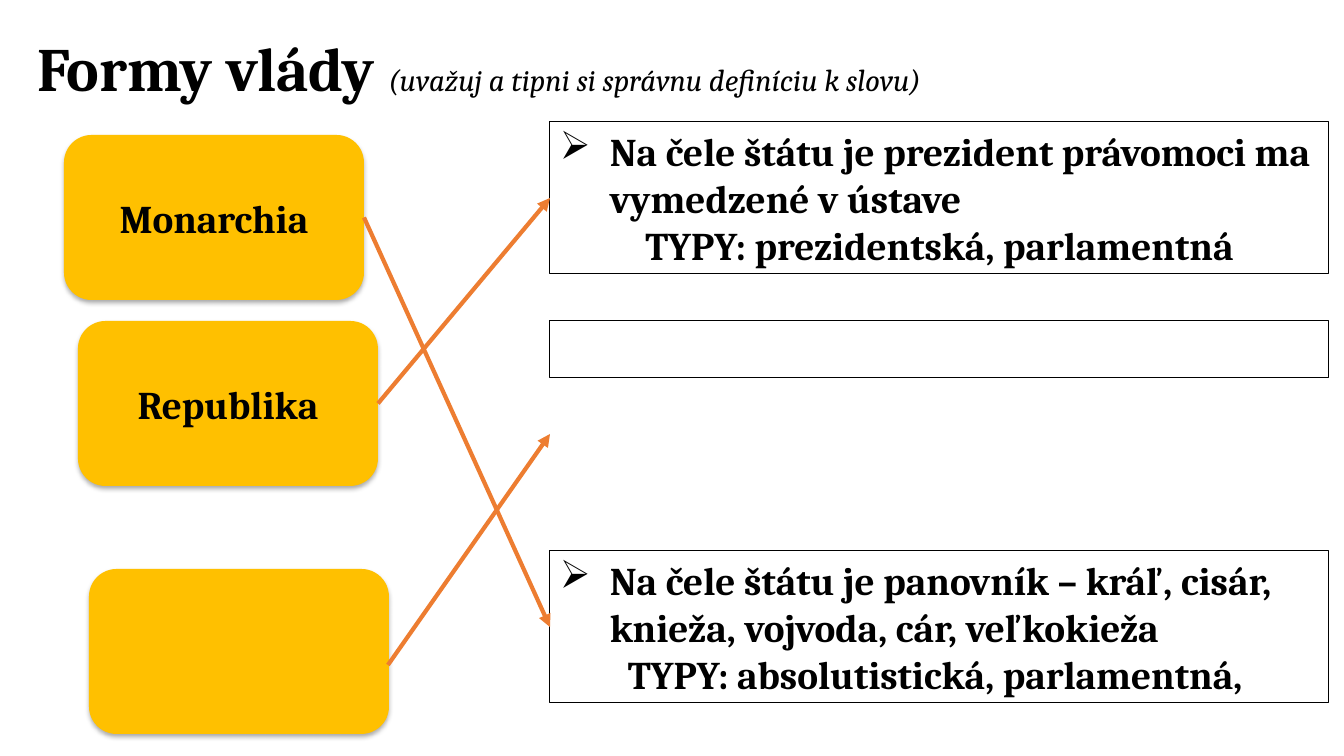
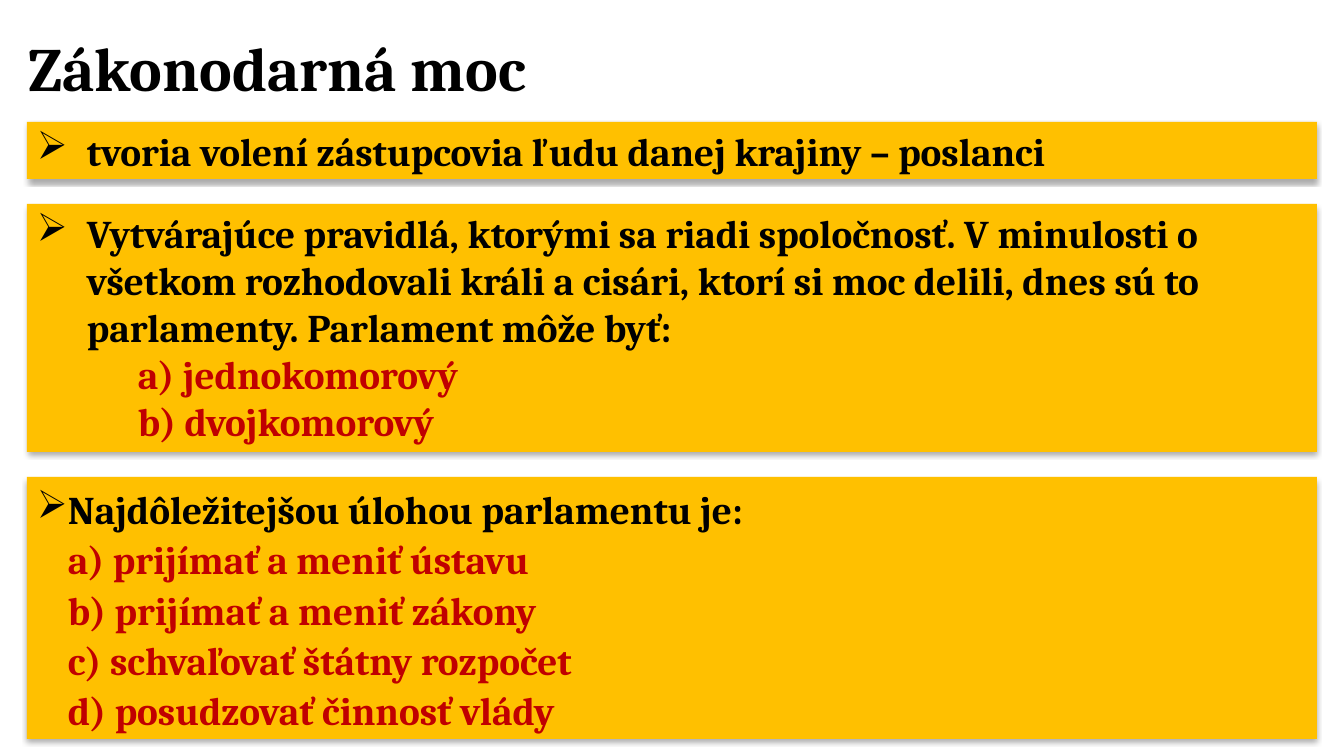
import pptx
import pptx.util
import pptx.dml.color
import pptx.enum.dml
import pptx.enum.shapes
import pptx.enum.text
import pptx.oxml
import pptx.oxml.ns

RGBColor = pptx.dml.color.RGBColor
BLACK = RGBColor(0x00, 0x00, 0x00)
AMBER = RGBColor(0xFF, 0xC0, 0x00)
ORANGE = RGBColor(0xED, 0x7D, 0x31)
RED = RGBColor(0xC0, 0x00, 0x00)

SHAPES = pptx.enum.shapes.MSO_SHAPE
ALIGN = pptx.enum.text.PP_ALIGN
ANCHOR = pptx.enum.text.MSO_ANCHOR
AUTO_SIZE = pptx.enum.text.MSO_AUTO_SIZE

EMU_PER_PX = 914400 / 100.8
TITLE_TOP, TITLE_WIDTH, TITLE_HEIGHT = 21, 1159, 101
BODY_FONT = {"name": "Cambria", "size": pptx.util.Pt(28), "bold": True}
TITLE_FONT = {"name": "Cambria", "size": pptx.util.Pt(44), "bold": True, "italic": False}
HINT_FONT = {"name": "Cambria", "size": pptx.util.Pt(22), "bold": False, "italic": True}

# Content: a paragraph holds runs (text, colour); hang is the bullet's indent in px
FORMS = {
    "title": [("Formy vlády ", TITLE_FONT),
              ("(uvažuj a tipni si správnu definíciu k slovu)", HINT_FONT)],
    "title_left": 27,
    "terms": [("Monarchia", 64, 135), ("Republika", 78, 321), ("", 89, 569)],
    "definitions": [
        (122, 152, [
            {"runs": [("Na čele štátu je prezident právomoci ma vymedzené v ústave", BLACK)],
             "hang": 50},
            {"runs": [("TYPY: prezidentská, parlamentná", BLACK)], "align": ALIGN.CENTER}]),
        (321, 57, []),
        (551, 152, [
            {"runs": [("Na čele štátu je panovník – kráľ, cisár, knieža, vojvoda, cár, "
                       "veľkokieža", BLACK)], "hang": 50},
            {"runs": [("TYPY: absolutistická, parlamentná, ", BLACK)],
             "align": ALIGN.CENTER}]),
    ],
    "matches": [(0, 2), (1, 0)],
    "loose_arrow": (388, 665, 550, 434),
}
LEGISLATIVE = {
    "title": [("Zákonodarná moc", TITLE_FONT)],
    "title_left": 18,
    "bands": [
        (57, [{"runs": [("tvoria volení zástupcovia ľudu danej krajiny – poslanci", BLACK)],
               "hang": 50}]),
        (248, [
            {"runs": [("Vytvárajúce pravidlá, ktorými sa riadi spoločnosť. V minulosti "
                       "o všetkom rozhodovali králi a cisári, ktorí si moc delili, "
                       "dnes sú to parlamenty. Parlament môže byť:", BLACK)], "hang": 50},
            {"runs": [("a) jednokomorový", RED)], "left": 101},
            {"runs": [("b) dvojkomorový", RED)], "left": 101}]),
        (262, [
            {"runs": [("Najdôležitejšou úlohou parlamentu je:", BLACK),
                      ("a) prijímať a meniť ústavu", RED),
                      ("b) prijímať a meniť zákony", RED),
                      ("c) schvaľovať štátny rozpočet", RED),
                      ("d) posudzovať činnosť vlády", RED)],
             "hang": 31,
             "spacing": {"line_spacing": 1.07, "space_after": pptx.util.Pt(8)}}]),
    ],
}
TERM_WIDTH, TERM_HEIGHT = 300, 165
DEFINITION_LEFT, DEFINITION_WIDTH = 550, 779
BAND_LEFT, BAND_TOP, BAND_WIDTH, BAND_GAP = 27, 122, 1290, 25

SHADOW = """<a:effectLst %s><a:outerShdw blurRad="44450" dist="27940" dir="5400000"
 algn="ctr" rotWithShape="0"><a:srgbClr val="000000"><a:alpha val="32000"/></a:srgbClr>
</a:outerShdw></a:effectLst>""" % pptx.oxml.ns.nsdecls("a")


def px(*lengths):
    return [pptx.util.Emu(round(length * EMU_PER_PX)) for length in lengths]


def add_run(paragraph, text, font_format, color):
    run = paragraph.add_run()
    run.text = text
    for name, value in font_format.items():
        setattr(run.font, name, value)
    run.font.color.rgb = color


def add_titled_slide(presentation, content):
    slide = presentation.slides.add_slide(presentation.slide_layouts[5])
    title = slide.shapes.title
    title.left, title.top, title.width, title.height = px(
        content["title_left"], TITLE_TOP, TITLE_WIDTH, TITLE_HEIGHT)
    title.text_frame.vertical_anchor = ANCHOR.MIDDLE
    title.text_frame.auto_size = AUTO_SIZE.NONE
    paragraph = title.text_frame.paragraphs[0]
    paragraph.alignment = ALIGN.LEFT
    paragraph.line_spacing = 0.9
    for text, font_format in content["title"]:
        add_run(paragraph, text, font_format, BLACK)
    return slide


def write_paragraph(paragraph, item):
    properties = paragraph._p.get_or_add_pPr()
    hang = item.get("hang", 0)
    left, indent = px(item.get("left", hang), -hang)
    properties.set("marL", str(left))
    properties.set("indent", str(indent))
    if hang:
        properties.append(pptx.oxml.parse_xml(
            '<a:buChar %s char="➢"/>' % pptx.oxml.ns.nsdecls("a")))
    paragraph.alignment = item.get("align", ALIGN.LEFT)
    for name, value in item.get("spacing", {}).items():
        setattr(paragraph, name, value)
    for number, (text, color) in enumerate(item["runs"]):
        if number:
            paragraph.add_line_break()
        add_run(paragraph, text, BODY_FONT, color)


def add_box(slide, preset, box, paragraphs, filled, anchor=ANCHOR.TOP):
    shape = slide.shapes.add_shape(preset, *px(*box))
    if filled:
        shape.fill.solid()
        shape.fill.fore_color.rgb = AMBER
        shape.line.fill.background()
        shape._element.spPr.append(pptx.oxml.parse_xml(SHADOW))
    else:
        shape.fill.background()
        shape.line.color.rgb = BLACK
        shape.line.width = pptx.util.Pt(0.75)
        shape.shadow.inherit = False
    frame = shape.text_frame
    frame.word_wrap = True
    frame.vertical_anchor = anchor
    for number, item in enumerate(paragraphs):
        paragraph = frame.add_paragraph() if number else frame.paragraphs[0]
        write_paragraph(paragraph, item)
    return shape


def add_arrow(slide, ends):
    arrow = slide.shapes.add_connector(
        pptx.enum.shapes.MSO_CONNECTOR.STRAIGHT, *px(*ends))
    arrow.line.color.rgb = ORANGE
    arrow.line.width = pptx.util.Pt(3)
    namespace = pptx.oxml.ns.nsdecls("a")
    arrow.line._get_or_add_ln().append(
        pptx.oxml.parse_xml('<a:tailEnd %s type="triangle"/>' % namespace))
    arrow._element.spPr.append(pptx.oxml.parse_xml("<a:effectLst %s/>" % namespace))
    return arrow


def build_forms(presentation):
    slide = add_titled_slide(presentation, FORMS)
    # Terms on the left, definitions on the right
    terms = []
    for text, left, top in FORMS["terms"]:
        label = [{"runs": [(text, BLACK)], "align": ALIGN.CENTER}] if text else []
        terms.append(add_box(slide, SHAPES.ROUNDED_RECTANGLE,
                             (left, top, TERM_WIDTH, TERM_HEIGHT), label, True,
                             ANCHOR.MIDDLE))
    definitions = [
        add_box(slide, SHAPES.RECTANGLE,
                (DEFINITION_LEFT, top, DEFINITION_WIDTH, height), paragraphs, False)
        for top, height, paragraphs in FORMS["definitions"]]
    # Arrows from each term to its definition
    for term, definition in FORMS["matches"]:
        arrow = add_arrow(slide, (0, 0, 0, 0))
        arrow.begin_connect(terms[term], 3)
        arrow.end_connect(definitions[definition], 1)
    add_arrow(slide, FORMS["loose_arrow"])


def build_legislative(presentation):
    slide = add_titled_slide(presentation, LEGISLATIVE)
    top = BAND_TOP
    for height, paragraphs in LEGISLATIVE["bands"]:
        add_box(slide, SHAPES.RECTANGLE, (BAND_LEFT, top, BAND_WIDTH, height),
                paragraphs, True)
        top += height + BAND_GAP


def main():
    presentation = pptx.Presentation()
    presentation.slide_width, presentation.slide_height = px(1344, 756)
    build_forms(presentation)
    build_legislative(presentation)
    presentation.save("out.pptx")


if __name__ == "__main__":
    main()
